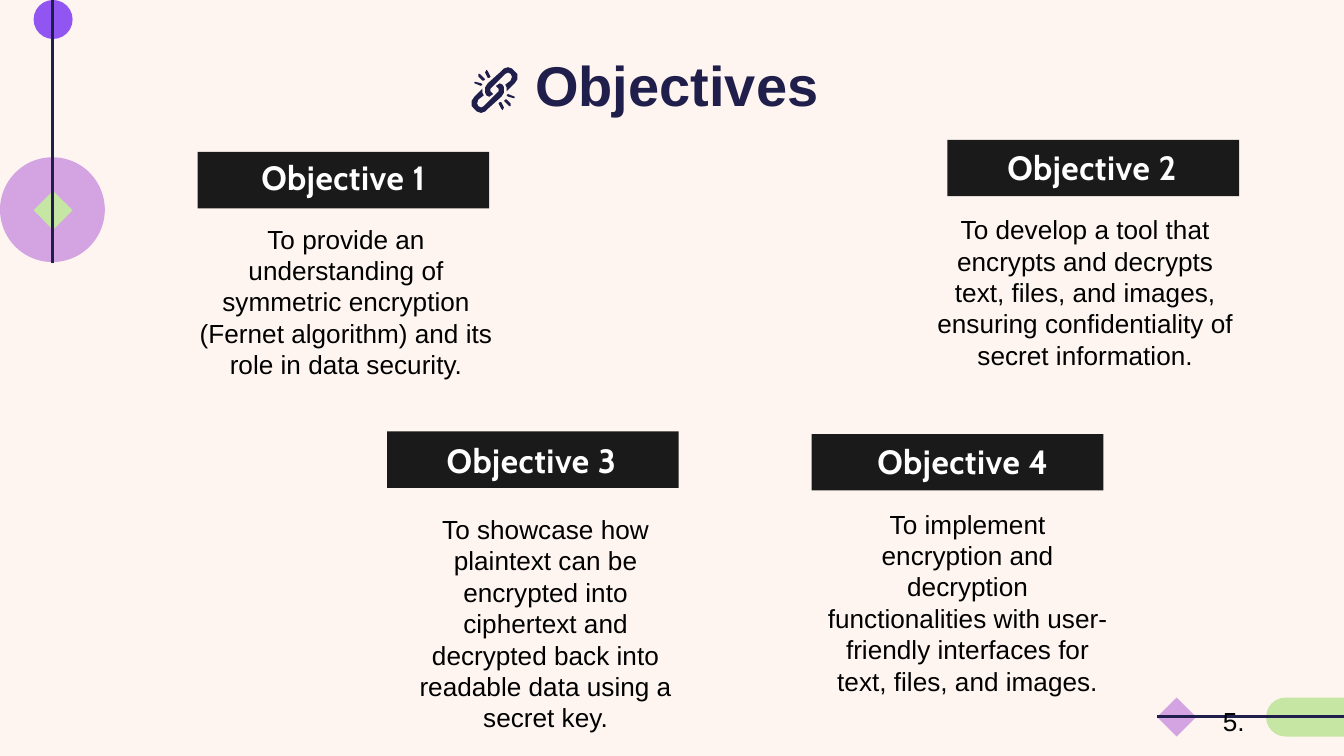
from pptx import Presentation
from pptx.dml.color import RGBColor
from pptx.enum.shapes import MSO_CONNECTOR, MSO_SHAPE
from pptx.enum.text import MSO_ANCHOR, MSO_AUTO_SIZE, PP_ALIGN
from pptx.oxml.ns import qn
from pptx.util import Pt
from lxml import etree

CENTER, LEFT = PP_ALIGN.CENTER, PP_ALIGN.LEFT
TOP, MIDDLE = MSO_ANCHOR.TOP, MSO_ANCHOR.MIDDLE
ELLIPSE, DIAMOND = MSO_SHAPE.OVAL, MSO_SHAPE.DIAMOND
RECTANGLE, PILL = MSO_SHAPE.RECTANGLE, MSO_SHAPE.ROUNDED_RECTANGLE
STRAIGHT = MSO_CONNECTOR.STRAIGHT
NO_AUTOFIT = MSO_AUTO_SIZE.NONE

EMU_PER_PX = 9144
SLIDE_WIDTH = 1000
SLIDE_HEIGHT = SLIDE_WIDTH * 9 / 16
COLORS = {
    "cream": "FEF5F0",
    "navy": "201F4B",
    "lilac": "D4A4E2",
    "violet": "9156F1",
    "lime": "C6E6A3",
    "charcoal": "1A1A1A",
    "white": "FFFFFF",
    "black": "000000",
}

OBJECTIVES = [
    ("Objective 1", (147, 113), (147, 104), (140, 166, 235, 118),
     "To provide an understanding of symmetric encryption (Fernet algorithm) "
     "and its role in data security."),
    ("Objective 2", (705, 104), (704, 96), (694, 159, 227, 118),
     "To develop a tool that encrypts and decrypts text, files, and images, "
     "ensuring confidentiality of secret information."),
    ("Objective 4", (604, 323), (608, 315), (615, 378, 210, 141),
     "To implement encryption and decryption functionalities with "
     "user-friendly interfaces for text, files, and images."),
    ("Objective 3", (288, 321), (287, 314), (301, 382, 210, 165),
     "To showcase how plaintext can be encrypted into ciphertext and "
     "decrypted back into readable data using a secret key."),
]

ICON_CENTER = (368, 67)
CHAIN_HALF = [
    [(372, 62), (369, 64), (371, 66), (371, 68), (370, 69), (360, 79),
     (358, 80), (356, 79), (355, 77), (356, 74), (360, 71), (359, 69),
     (359, 66), (353, 72), (351, 75), (351, 79), (353, 81), (355, 83),
     (358, 84), (361, 83), (363, 81), (373, 72), (375, 69), (375, 65),
     (374, 63)],
    [(376, 74), (375, 75), (376, 76), (379, 79), (380, 79), (380, 77),
     (377, 74)],
    [(378, 70), (377, 71), (378, 72), (382, 73), (383, 73), (383, 72)],
    [(372, 76), (371, 77), (373, 81), (374, 82), (375, 80), (373, 76)],
]


def px(*lengths):
    return [int(length * EMU_PER_PX) for length in lengths]


def color(name):
    return RGBColor.from_string(COLORS[name])


def paint(shape, fill):
    shape.fill.solid()
    shape.fill.fore_color.rgb = color(fill)
    shape.line.fill.background()
    shape.shadow.inherit = False


def add_block(slide, kind, box, fill):
    block = slide.shapes.add_shape(kind, *px(*box))
    paint(block, fill)
    return block


def add_rule(slide, start, end):
    rule = slide.shapes.add_connector(STRAIGHT, *px(*start, *end))
    rule.line.color.rgb = color("navy")
    rule.line.width = Pt(1.5)
    etree.SubElement(rule._element.spPr, qn("a:effectLst"))


def write(shape, text, size, ink, font="Arial", bold=False, align=CENTER,
          anchor=TOP, inset=(0, 0), pitch=None, tracking=None):
    side, edge = px(*inset)
    frame = shape.text_frame
    frame.text = text
    frame.word_wrap = True
    frame.auto_size = NO_AUTOFIT
    frame.vertical_anchor = anchor
    frame.margin_left = frame.margin_right = side
    frame.margin_top = frame.margin_bottom = edge
    paragraph = frame.paragraphs[0]
    paragraph.alignment = align
    if pitch:
        paragraph.line_spacing = Pt(pitch)
    run = paragraph.runs[0]
    run.font.size = Pt(size)
    run.font.name = font
    run.font.bold = bold
    run.font.color.rgb = color(ink)
    if tracking:
        run._r.get_or_add_rPr().set("spc", str(tracking))


def add_text(slide, box, text, size, ink, **style):
    write(slide.shapes.add_textbox(*px(*box)), text, size, ink, **style)


def add_title(slide):
    title = slide.shapes.title
    title.left, title.top, title.width, title.height = px(88, 27, 843, 63)
    write(title, "Objectives ", 30, "navy", bold=True, inset=(10, 10),
          pitch=36.4)


def add_ornaments(slide):
    add_block(slide, ELLIPSE, (0, 117, 78, 78), "lilac")
    add_block(slide, DIAMOND, (25, 142, 29, 29), "lime")
    add_block(slide, ELLIPSE, (25, 0, 29, 29), "violet")
    add_rule(slide, (39, 196), (39, 0))
    pill = add_block(slide, PILL, (942, 519, 135, 29), "lime")
    pill.adjustments[0] = 0.5
    add_block(slide, DIAMOND, (861, 519, 29, 29), "lilac")
    add_rule(slide, (1057, 533), (861, 533))


def add_objective(slide, label, bar, label_at, goal_box, goal):
    add_block(slide, RECTANGLE, (*bar, 217, 42), "charcoal")
    add_text(slide, (*label_at, 217, 56), label, 18, "white", font="Cabin",
             bold=True, anchor=MIDDLE, inset=(6, 6), tracking=30)
    add_text(slide, goal_box, goal, 14, "black", pitch=16.8)


def add_outline(slide, points):
    start, *rest = points
    builder = slide.shapes.build_freeform(*start, scale=EMU_PER_PX)
    builder.add_line_segments(rest, close=True)
    paint(builder.convert_to_shape(), "navy")


def add_chain_icon(slide):
    center_x, center_y = ICON_CENTER
    for piece in CHAIN_HALF:
        add_outline(slide, piece)
        add_outline(slide, [(2 * center_x - x, 2 * center_y - y)
                            for x, y in piece])


def main():
    deck = Presentation()
    deck.slide_width, deck.slide_height = px(SLIDE_WIDTH, SLIDE_HEIGHT)
    slide = deck.slides.add_slide(deck.slide_layouts[5])
    slide.background.fill.solid()
    slide.background.fill.fore_color.rgb = color("cream")
    add_ornaments(slide)
    add_title(slide)
    for objective in OBJECTIVES:
        add_objective(slide, *objective)
    add_chain_icon(slide)
    add_text(slide, (900, 520, 100, 34), "5.", 14, "black", align=LEFT,
             inset=(10, 5))
    deck.save("out.pptx")


if __name__ == "__main__":
    main()
